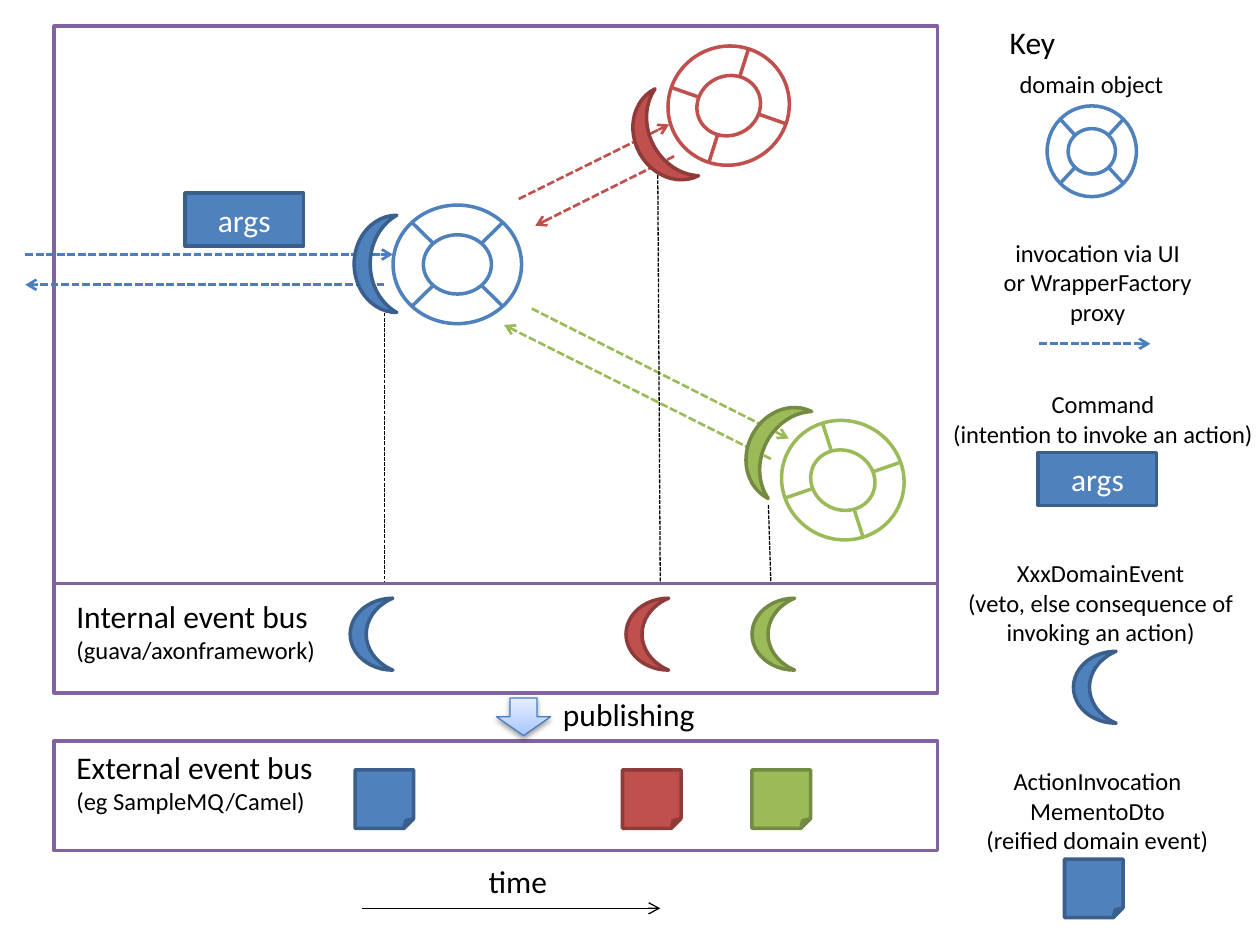
from copy import deepcopy
from math import cos, radians, sin

from lxml.etree import SubElement
from pptx import Presentation
from pptx.dml.color import RGBColor
from pptx.enum.dml import MSO_LINE
from pptx.enum.shapes import MSO_CONNECTOR, MSO_SHAPE as SHAPE
from pptx.enum.text import MSO_ANCHOR, MSO_AUTO_SIZE, PP_ALIGN as ALIGN
from pptx.oxml.ns import qn
from pptx.util import Cm, Pt

FONT = "Calibri"
COLOURS = {
    "blue": "4F81BD", "blue edge": "3A5F8C", "blue arrow": "4B7EBC",
    "red": "C0504D", "red edge": "8E3B39",
    "green": "9BBB59", "green edge": "738A42",
    "purple": "8064A2", "white": "FFFFFF", "black": "000000",
    "publish dark": "A4C4FF", "publish mid": "BFD4FF", "publish light": "E6EEFF",
}
EVENT_COLOURS = ("blue", "red", "green")
MOON_WIDTH, MOON_HEIGHT = 0.86, 1.45
NOTE_SIZE = 1.18
ARGS_WIDTH, ARGS_HEIGHT = 2.39, 1.07


def rgb(name):
    return RGBColor.from_string(COLOURS[name])


def add_shape(shapes, kind, box, fill, edge, weight=2, turn=0):
    shape = shapes.add_shape(kind, *map(Cm, box))
    shape.shadow.inherit = False
    shape.fill.solid()
    shape.fill.fore_color.rgb = rgb(fill)
    shape.line.color.rgb = rgb(edge)
    shape.line.width = Pt(weight)
    shape.rotation = turn
    return shape


def add_line(shapes, start, end, colour, weight=2, dashed=False, arrow=False):
    line = shapes.add_connector(MSO_CONNECTOR.STRAIGHT, *map(Cm, (*start, *end)))
    line.line.color.rgb = rgb(colour)
    line.line.width = Pt(weight)
    if dashed:
        line.line.dash_style = MSO_LINE.SQUARE_DOT
    if arrow:
        SubElement(line.line._get_or_add_ln(), qn("a:tailEnd"), type="arrow")
    SubElement(line._element.spPr, qn("a:effectLst"))


def add_run(paragraph, text, size, colour="black"):
    run = paragraph.add_run()
    run.text = text
    run.font.name = FONT
    run.font.size = Pt(size)
    run.font.color.rgb = rgb(colour)


def add_label(shapes, box, lines, align=ALIGN.LEFT):
    """Place unwrapped text; lines holds (text, size) pairs."""
    frame = shapes.add_textbox(*map(Cm, box)).text_frame
    frame.word_wrap = False
    frame.auto_size = MSO_AUTO_SIZE.SHAPE_TO_FIT_TEXT
    paragraph = frame.paragraphs[0]
    paragraph.alignment = align
    for index, (text, size) in enumerate(lines):
        if index:
            paragraph.add_line_break()
        add_run(paragraph, text, size)


def add_event(shapes, left, top, colour, height=MOON_HEIGHT, turn=0):
    moon = add_shape(shapes, SHAPE.MOON, (left, top, MOON_WIDTH, height),
                     colour, f"{colour} edge", turn=turn)
    moon.adjustments[0] = 0.376


def add_memento(shapes, left, top, colour):
    add_shape(shapes, SHAPE.FOLDED_CORNER, (left, top, NOTE_SIZE, NOTE_SIZE),
              colour, f"{colour} edge")


def add_command(shapes, left, top):
    command = add_shape(shapes, SHAPE.RECTANGLE, (left, top, ARGS_WIDTH, ARGS_HEIGHT),
                        "blue", "blue edge")
    frame = command.text_frame
    frame.vertical_anchor = MSO_ANCHOR.MIDDLE
    frame.paragraphs[0].alignment = ALIGN.CENTER
    add_run(frame.paragraphs[0], "args", 18, "white")


def add_domain_object(shapes, centre, width, height, colour, turn=0):
    """Group two concentric ellipses with four diagonal spokes between them."""
    ring = shapes.add_group_shape().shapes
    x, y = centre
    rings = ((width, height), (width * 0.53, height * 0.5))
    for w, h in rings:
        add_shape(ring, SHAPE.OVAL, (x - w / 2, y - h / 2, w, h),
                  "white", colour, turn=turn)
    tilt = radians(turn)
    for angle in map(radians, (45, 135, 225, 315)):
        ends = []
        for w, h in rings:
            dx, dy = w / 2 * cos(angle), h / 2 * sin(angle)
            ends.append((x + dx * cos(tilt) - dy * sin(tilt),
                         y + dx * sin(tilt) + dy * cos(tilt)))
        add_line(ring, *ends, colour)


def add_interactions(shapes, box):
    left, top, width, height = box
    add_shape(shapes, SHAPE.RECTANGLE, box, "white", "purple")

    def at(x, y):
        return left + x, top + y

    add_command(shapes, *at(2.64, 3.36))
    # colour, arrow colour, object centre, width, turn, calls, moon corner, moon height
    actors = (
        ("blue", "blue arrow", (8.13, 4.8), 2.59, 0,
         (((-0.58, 4.6), (6.83, 4.6)), ((6.66, 5.21), (-0.58, 5.21))), (6.05, 3.81), 1.96),
        ("red", "red", (13.6, 1.6), 2.46, -26.6,
         (((9.37, 3.48), (12.4, 1.98)), ((12.5, 2.62), (9.7, 4.02))), (11.74, 1.35), 1.96),
        ("green", "green", (15.9, 9.15), 2.49, 26.6,
         (((9.63, 5.69), (14.81, 8.31)), ((14.45, 8.72), (9.07, 6.02))), (14.02, 7.47), 1.96),
    )
    for colour, arrow_colour, centre, size, turn, calls, moon, moon_height in actors:
        add_domain_object(shapes, at(*centre), size, 2.39, colour, turn)
        for start, end in calls:
            add_line(shapes, at(*start), at(*end), arrow_colour, 1.5, True, True)
        add_event(shapes, *at(*moon), colour, moon_height, turn)
    bus_top = 11.23
    for x, y, end_x in ((6.66, 5.77, 6.66), (12.17, 3.0, 12.22), (14.4, 9.65, 14.45)):
        add_line(shapes, at(x, y), at(end_x, bus_top), "black", 0.75, True)


def add_bus(shapes, box, title, detail, title_top, add_icon, icon_xs, icon_top):
    left, top, width, height = box
    add_shape(shapes, SHAPE.RECTANGLE, box, "white", "purple")
    add_label(shapes, (left + 0.2, top + title_top, 5.35, 1.63), ((title, 18), (detail, 14)))
    for x, colour in zip(icon_xs, EVENT_COLOURS):
        add_icon(shapes, left + x, top + icon_top, colour)


def add_publishing(shapes, box):
    left, top, width, height = box
    arrow = add_shape(shapes, SHAPE.DOWN_ARROW, (left, top + 0.18, 1.09, 0.76),
                      "white", "blue arrow", 0.75)
    arrow.fill.gradient()
    arrow.fill.gradient_angle = 90
    first = arrow.fill.gradient_stops[0]._gs
    first.addnext(deepcopy(first))
    names = ("publish dark", "publish mid", "publish light")
    for stop, name, position in zip(arrow.fill.gradient_stops, names, (0, 0.35, 1)):
        stop.color.rgb = rgb(name)
        stop.position = position
    effects = arrow._element.spPr.find(qn("a:effectLst"))
    shadow = SubElement(effects, qn("a:outerShdw"), blurRad="40000", dist="20000",
                        dir="5400000", rotWithShape="0")
    tint = SubElement(shadow, qn("a:srgbClr"), val=COLOURS["black"])
    SubElement(tint, qn("a:alpha"), val="38000")
    add_label(shapes, (left + 1.09, top, width - 1.09, height), (("publishing", 18),))


def add_time_axis(shapes, box):
    left, top, width, height = box
    add_label(shapes, (left + 2.31, top, 1.7, 1.02), (("time", 18),))
    add_line(shapes, (left, top + height), (left + width, top + height),
             "black", 0.75, arrow=True)


def add_key(shapes, box):
    left, top, width, height = box
    # left, top, width, height, size, lines
    entries = (
        (1.17, 0, 1.45, 1.02, 18, ("Key",)),
        (1.37, 0.94, 3.43, 0.86, 14, ("domain object",)),
        (1.04, 4.34, 4.34, 2.06, 14, ("invocation via UI", "or WrapperFactory", "proxy")),
        (0, 7.39, 6.63, 1.45, 14, ("Command", "(intention to invoke an action)")),
        (0.31, 10.8, 5.92, 2.06, 14,
         ("XxxDomainEvent", "(veto, else consequence of", "invoking an action)")),
        (0.69, 14.99, 5.03, 2.06, 14,
         ("ActionInvocation", "MementoDto", "(reified domain event)")),
    )
    for x, y, w, h, size, lines in entries:
        add_label(shapes, (left + x, top + y, w, h),
                  [(line, size) for line in lines], ALIGN.CENTER)
    add_domain_object(shapes, (left + 3.09, top + 2.72), 1.8, 1.83, "blue")
    add_line(shapes, (left + 2.03, top + 6.6), (left + 4.27, top + 6.6),
             "blue arrow", 1.5, True, True)
    add_command(shapes, left + 2.01, top + 8.79)
    add_event(shapes, left + 2.72, top + 12.8, "blue")
    add_memento(shapes, left + 2.54, top + 16.99, "blue")


def main():
    deck = Presentation()
    deck.slide_width, deck.slide_height = Cm(25.4), Cm(19.05)
    shapes = deck.slides.add_slide(deck.slide_layouts[6]).shapes
    left, width, bus_height = 1.09, 17.81, 2.21
    add_interactions(shapes, (left, 0.53, width, 13.41))
    add_bus(shapes, (left, 11.76, width, bus_height), "Internal event bus",
            "(guava/axonframework)", 0.15, add_event, (5.97, 11.53, 14.07), 0.3)
    add_bus(shapes, (left, 14.94, width, bus_height), "External event bus",
            "(eg SampleMQ/Camel)", 0.02, add_memento, (6.07, 11.46, 14.07), 0.58)
    add_publishing(shapes, (10.01, 13.89, 4.29, 1.02))
    add_time_axis(shapes, (7.29, 17.25, 6.02, 1.06))
    add_key(shapes, (18.92, 0.33, 6.48, 18.2))
    deck.save("out.pptx")


if __name__ == "__main__":
    main()
